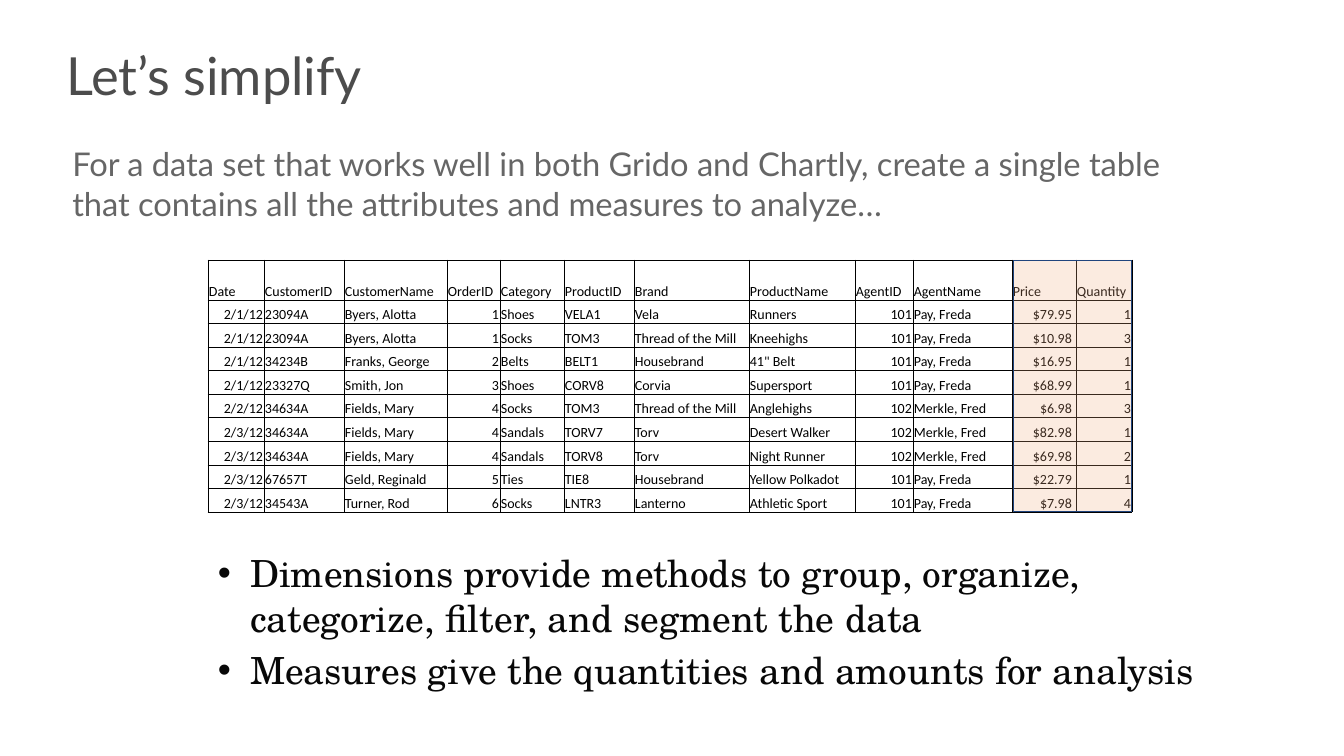
from lxml import etree
from pptx import Presentation
from pptx.dml.color import RGBColor
from pptx.enum.shapes import MSO_SHAPE as SHAPE
from pptx.enum.text import MSO_ANCHOR as ANCHOR, PP_ALIGN as ALIGN
from pptx.oxml.ns import qn
from pptx.util import Emu, Pt

PX = 914400 // 84
COLUMNS = [("Date", 56), ("CustomerID", 80), ("CustomerName", 103), ("OrderID", 53),
           ("Category", 64), ("ProductID", 70), ("Brand", 115), ("ProductName", 106),
           ("AgentID", 58), ("AgentName", 99), ("Price", 64), ("Quantity", 56)]
RIGHT_ALIGNED = {"Date", "OrderID", "AgentID", "Price", "Quantity"}
ORDERS = [
    "2/1/12|23094A|Byers, Alotta|1|Shoes|VELA1|Vela|Runners|101|Pay, Freda|$79.95|1",
    "2/1/12|23094A|Byers, Alotta|1|Socks|TOM3|Thread of the Mill|Kneehighs|101|Pay, Freda|$10.98|3",
    "2/1/12|34234B|Franks, George|2|Belts|BELT1|Housebrand|41\" Belt|101|Pay, Freda|$16.95|1",
    "2/1/12|23327Q|Smith, Jon|3|Shoes|CORV8|Corvia|Supersport|101|Pay, Freda|$68.99|1",
    "2/2/12|34634A|Fields, Mary|4|Socks|TOM3|Thread of the Mill|Anglehighs|102|Merkle, Fred|$6.98|3",
    "2/3/12|34634A|Fields, Mary|4|Sandals|TORV7|Torv|Desert Walker|102|Merkle, Fred|$82.98|1",
    "2/3/12|34634A|Fields, Mary|4|Sandals|TORV8|Torv|Night Runner|102|Merkle, Fred|$69.98|2",
    "2/3/12|67657T|Geld, Reginald|5|Ties|TIE8|Housebrand|Yellow Polkadot|101|Pay, Freda|$22.79|1",
    "2/3/12|34543A|Turner, Rod|6|Socks|LNTR3|Lanterno|Athletic Sport|101|Pay, Freda|$7.98|4",
]
INTRO = ("For a data set that works well in both Grido and Chartly, create a single table "
         "that contains all the attributes and measures to analyze…")
POINTS = ["Dimensions provide methods to group, organize, categorize, filter, and segment the data",
          "Measures give the quantities and amounts for analysis"]


def px(n):
    """Turn pixels into EMU."""
    return Emu(round(n * PX))


def rgb(value):
    """Turn a hex string into a colour."""
    return RGBColor.from_string(value)


def style(p, font, size, color, align=ALIGN.LEFT):
    """Format a paragraph and its runs."""
    p.alignment = align
    for r in p.runs:
        r.font.name, r.font.size = font, Pt(size)
        r.font.color.rgb = rgb(color)


def set_margins(target, left, top, right, bottom):
    """Set the insets of a text frame or a cell."""
    target.margin_left, target.margin_top = px(left), px(top)
    target.margin_right, target.margin_bottom = px(right), px(bottom)


def add_title(slide, x, y, w, h):
    """Place and format the title."""
    sp = slide.shapes.title
    sp.left, sp.top, sp.width, sp.height = map(px, (x, y, w, h))
    tf = sp.text_frame
    tf.text = "Let’s simplify"
    tf.vertical_anchor = ANCHOR.MIDDLE
    set_margins(tf, 0, 0, 0, 0)
    tf.paragraphs[0].line_spacing = 0.8
    style(tf.paragraphs[0], "Lato", 45, "4C4C4C")


def add_text(slide, x, y, w, h):
    """Add a wrapping text box and return its frame."""
    tf = slide.shapes.add_textbox(*map(px, (x, y, w, h))).text_frame
    tf.word_wrap = True
    return tf


def add_intro(slide, x, y, w, h):
    """Add the introduction under the title."""
    tf = add_text(slide, x, y, w, h)
    tf.text = INTRO
    style(tf.paragraphs[0], "Lato", 28, "666666")


def set_borders(cell, color, width):
    """Draw a line on all four sides of a cell."""
    tc_pr = cell._tc.get_or_add_tcPr()
    for i, side in enumerate(("a:lnL", "a:lnR", "a:lnT", "a:lnB")):
        ln = etree.Element(qn(side), w=str(Pt(width)))
        fill = etree.SubElement(ln, qn("a:solidFill"))
        etree.SubElement(fill, qn("a:srgbClr"), val=color)
        tc_pr.insert(i, ln)


def fill_cell(cell, text, align, right):
    """Write and format one cell."""
    cell.text = text
    cell.vertical_anchor = ANCHOR.BOTTOM
    set_margins(cell, 1, 1, right, 0)
    cell.fill.background()
    set_borders(cell, "000000", 0.5)
    style(cell.text_frame.paragraphs[0], "Calibri", 12, "000000", align)


def add_orders(slide, x, y, w, h):
    """Add the order table and shade its two measure columns."""
    rows = [[name for name, _ in COLUMNS]] + [order.split("|") for order in ORDERS]
    table = slide.shapes.add_table(len(rows), len(COLUMNS), *map(px, (x, y, w, h))).table
    table.first_row = table.horz_banding = False
    header = 40
    for i, row in enumerate(rows):
        table.rows[i].height = px((h - header) / len(ORDERS) if i else header)
        for j, (name, width) in enumerate(COLUMNS):
            table.columns[j].width = px(width)
            align = ALIGN.RIGHT if i and name in RIGHT_ALIGNED else ALIGN.LEFT
            fill_cell(table.cell(i, j), row[j], align, 4 if i and name == "Price" else 1)

    measures = sum(width for _, width in COLUMNS[-2:]) - 2
    sp = slide.shapes.add_shape(
        SHAPE.RECTANGLE, *map(px, (x + w - measures - 1, y, measures, h)))
    sp.shadow.inherit = False
    sp.fill.solid()
    sp.fill.fore_color.rgb = rgb("F1AD80")
    tint = sp._element.spPr.find(qn("a:solidFill"))[0]
    etree.SubElement(tint, qn("a:alpha"), val="24000")
    sp.line.color.rgb, sp.line.width = rgb("1F447D"), Pt(0.75)


def add_points(slide, x, y, w, h):
    """Add the bulleted points."""
    tf = add_text(slide, x, y, w, h)
    set_margins(tf, 10, 5, 10, 5)
    tf.text = "\n".join(POINTS)
    for p in tf.paragraphs:
        p.space_before = Pt(6.4)
        style(p, "TeX Gyre Schola", 32, "080808")
        p_pr = p._p.get_or_add_pPr()
        p_pr.set("marL", str(px(32)))
        p_pr.set("indent", str(px(-32)))
        etree.SubElement(p_pr, qn("a:buFont"), typeface="Arial")
        etree.SubElement(p_pr, qn("a:buChar"), char="•")


def main():
    """Build the slide and save it."""
    prs = Presentation()
    prs.slide_width, prs.slide_height = px(1344), px(756)
    slide = prs.slides.add_slide(prs.slide_layouts[5])
    add_title(slide, 66, 55, 1216, 51)
    add_orders(slide, 208, 260, 924, 252)
    add_points(slide, 208, 545, 1055, 165)
    add_intro(slide, 64, 140, 1149, 87)
    prs.save("out.pptx")


if __name__ == "__main__":
    main()
